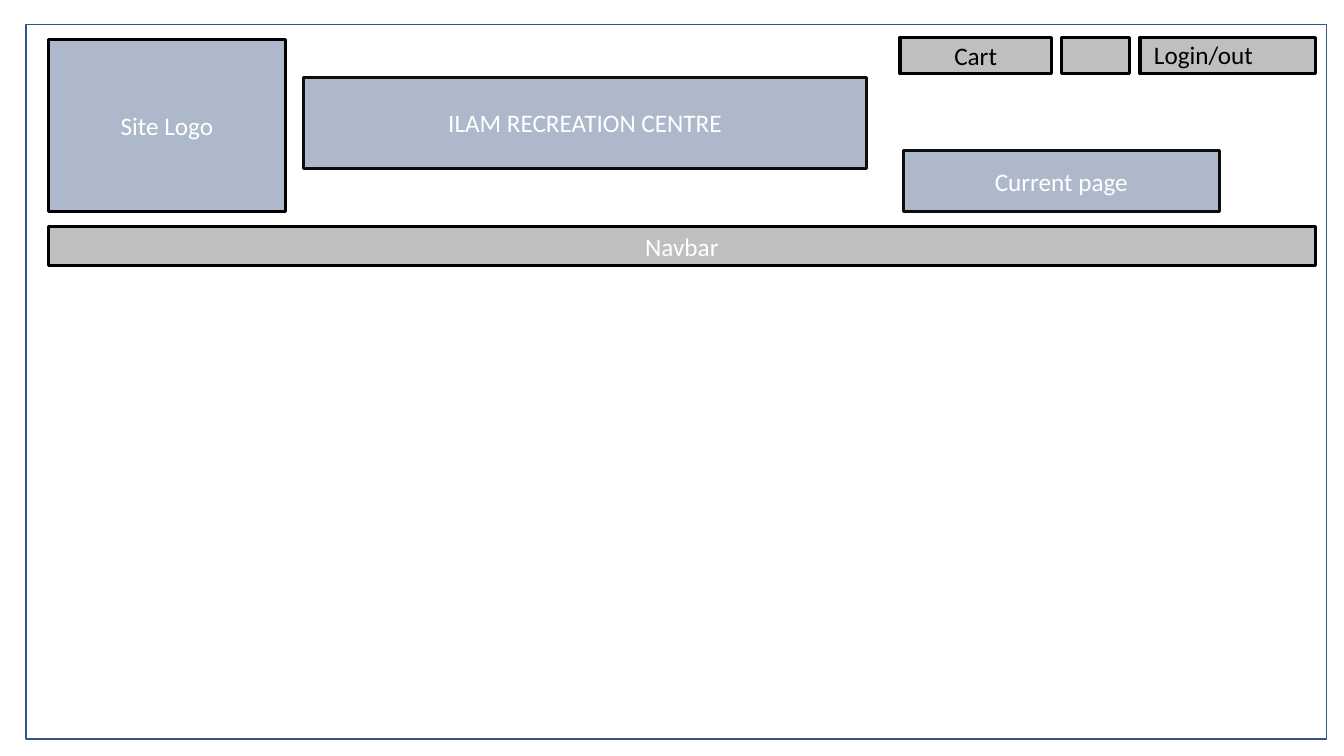
from pptx import Presentation
from pptx.dml.color import RGBColor
from pptx.enum.shapes import MSO_SHAPE
from pptx.enum.text import MSO_ANCHOR, MSO_AUTO_SIZE, PP_ALIGN
from pptx.util import Pt

# Content: lengths in points, boxes as left, top, width, height
SLIDE_SIZE = (960, 540)
FRAME = (18.7, 17.3, 928.8, 510.5)
BUTTONS = [("", 125.3), ("", 49), ("Cart", 108)]  # from right to left
BUTTON_ROW = {"right": 939.6, "top": 26.6, "height": 26, "gap": 7.2}
NAVBAR = ("Navbar", (34.6, 162, 905, 27.4))
LOGIN = ("Login/out", (817.2, 24.5, 122.4, 28.8))
PANELS = [
    ("Current page", (645.1, 107.3, 226.1, 43.9), "soft_black"),
    ("Site Logo", (34.6, 28.1, 169.2, 123.1), "black"),
    ("ILAM RECREATION CENTRE", (216.7, 55.4, 402.5, 64.8), "soft_black"),
]

THEME = {
    "font": "Calibri", "size": 18, "border": 2.25, "frame_border": 1,
    "grey": RGBColor(0xBF, 0xBF, 0xBF), "blue_grey": RGBColor(0xAD, 0xB9, 0xCA),
    "black": RGBColor(0, 0, 0), "soft_black": RGBColor(0x0D, 0x0D, 0x0D),
    "white": RGBColor(255, 255, 255), "frame": RGBColor(0x32, 0x54, 0x91),
}


def set_values(target, values):
    for name, value in values.items():
        setattr(target, name, value)


def write_text(shape, text, color, alignment, frame_format):
    set_values(shape.text_frame, frame_format)
    paragraph = shape.text_frame.paragraphs[0]
    paragraph.alignment = alignment
    run = paragraph.add_run()
    run.text = text
    set_values(run.font, {"name": THEME["font"], "size": Pt(THEME["size"])})
    run.font.color.rgb = THEME[color]


def add_box(slide, box, fill, line, border="border", text="", color="white"):
    shape = slide.shapes.add_shape(MSO_SHAPE.RECTANGLE, *map(Pt, box))
    shape.shadow.inherit = False
    if fill:
        shape.fill.solid()
        shape.fill.fore_color.rgb = THEME[fill]
    else:
        shape.fill.background()
    shape.line.color.rgb = THEME[line]
    shape.line.width = Pt(THEME[border])
    if text:
        write_text(shape, text, color, PP_ALIGN.CENTER,
                   {"vertical_anchor": MSO_ANCHOR.MIDDLE, "word_wrap": True})


def main():
    presentation = Presentation()
    set_values(presentation, dict(zip(("slide_width", "slide_height"), map(Pt, SLIDE_SIZE))))
    slide = presentation.slides.add_slide(presentation.slide_layouts[6])

    # Button row, laid out from its right edge
    right = BUTTON_ROW["right"]
    for label, width in BUTTONS:
        box = (right - width, BUTTON_ROW["top"], width, BUTTON_ROW["height"])
        add_box(slide, box, "grey", "black", text=label, color="black")
        right -= width + BUTTON_ROW["gap"]

    # Login label over the rightmost button
    label, box = LOGIN
    login = slide.shapes.add_textbox(*map(Pt, box))
    write_text(login, label, "black", PP_ALIGN.LEFT,
               {"word_wrap": True, "auto_size": MSO_AUTO_SIZE.SHAPE_TO_FIT_TEXT})

    # Navigation bar and header panels
    label, box = NAVBAR
    add_box(slide, box, "grey", "black", text=label)
    for label, box, line in PANELS:
        add_box(slide, box, "blue_grey", line, text=label)

    # Page frame
    add_box(slide, FRAME, None, "frame", border="frame_border")
    presentation.save("out.pptx")


if __name__ == "__main__":
    main()
